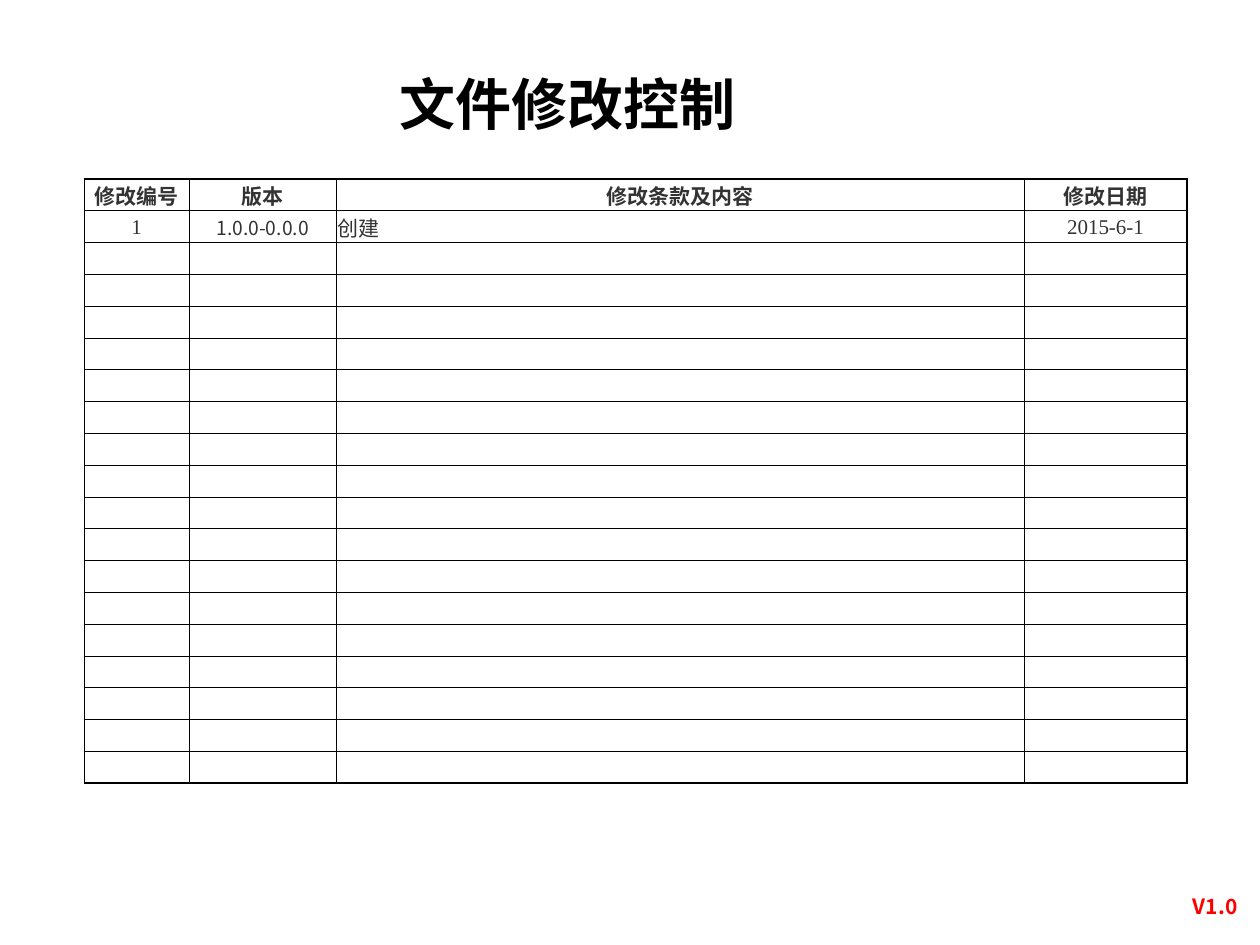
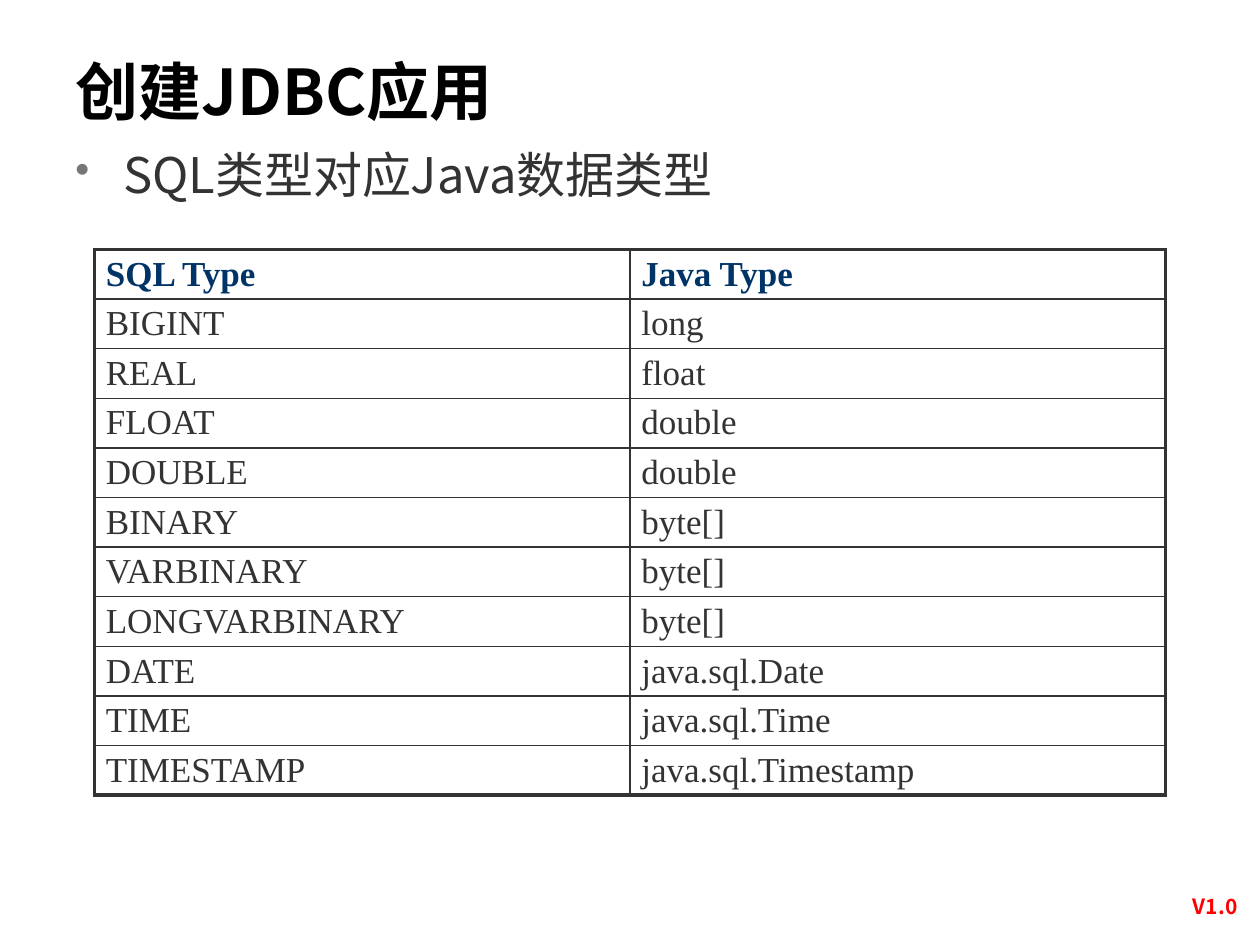
"""Build the document change log and JDBC type mapping slides."""
import pptx
import pptx.dml.color
import pptx.enum.text
import pptx.oxml.ns
import pptx.util
from lxml import etree

Inches = pptx.util.Inches
Pt = pptx.util.Pt
RGBColor = pptx.dml.color.RGBColor
ALIGN = pptx.enum.text.PP_ALIGN
ANCHOR = pptx.enum.text.MSO_ANCHOR
qn = pptx.oxml.ns.qn

SANS = "Noto Sans CJK SC"
SERIF = "Times New Roman"
BLACK = RGBColor(0x00, 0x00, 0x00)
DARK = RGBColor(0x33, 0x33, 0x33)
GREY = RGBColor(0x77, 0x77, 0x77)
NAVY = RGBColor(0x00, 0x33, 0x66)
RED = RGBColor(0xFF, 0x00, 0x00)

LOG_HEADERS = ["修改编号", "版本", "修改条款及内容", "修改日期"]
LOG_ENTRY = ["1", "1.0.0-0.0.0", "创建", "2015-6-1"]
LOG_BLANK_ROWS = 17
TYPE_ROWS = [
    ("SQL Type", "Java Type"),
    ("BIGINT", "long"),
    ("REAL", "float"),
    ("FLOAT", "double"),
    ("DOUBLE", "double"),
    ("BINARY", "byte[]"),
    ("VARBINARY", "byte[]"),
    ("LONGVARBINARY", "byte[]"),
    ("DATE", "java.sql.Date"),
    ("TIME", "java.sql.Time"),
    ("TIMESTAMP", "java.sql.Timestamp"),
]


def write(tf, text, font=SANS, size=12, color=DARK, bold=False, align=ALIGN.LEFT):
    p = tf.paragraphs[0]
    p.alignment = align
    if not text:
        p._p.get_or_add_endParaRPr().set("sz", str(size * 100))
        return p
    r = p.add_run()
    r.text = text
    r.font.name = font
    r.font.size = Pt(size)
    r.font.bold = bold
    r.font.color.rgb = color
    etree.SubElement(r._r.get_or_add_rPr(), qn("a:ea"), typeface=font)
    return p


def set_insets(target, left, top, right, bottom):
    target.margin_left, target.margin_top = Inches(left), Inches(top)
    target.margin_right, target.margin_bottom = Inches(right), Inches(bottom)


def add_border(cell, side, color, width):
    ln = etree.SubElement(cell._tc.get_or_add_tcPr(), qn(f"a:ln{side}"), w=str(Pt(width)))
    fill = etree.SubElement(ln, qn("a:solidFill"))
    etree.SubElement(fill, qn("a:srgbClr"), val=str(color))


class Deck:
    def __init__(self):
        self.prs = pptx.Presentation()
        self.prs.slide_width = Inches(10)
        self.prs.slide_height = Inches(7.5)
        self.s = None

    def slide(self, title, box, size, align, anchor):
        self.s = self.prs.slides.add_slide(self.prs.slide_layouts[5])
        self.text("V1.0", (9.25, 7.07, 0.79, 0.3), top=0.02,
                  color=RED, bold=True, align=ALIGN.CENTER)
        sp = self.s.shapes.title
        sp.left, sp.top, sp.width, sp.height = map(Inches, box)
        tf = sp.text_frame
        tf.auto_size = pptx.enum.text.MSO_AUTO_SIZE.NONE
        tf.vertical_anchor = anchor
        set_insets(tf, 0.1, 0.05, 0.1, 0.05)
        write(tf, title, size=size, color=BLACK, bold=True, align=align)

    def text(self, text, box, top=0.05, **style):
        tf = self.s.shapes.add_textbox(*map(Inches, box)).text_frame
        tf.word_wrap = True
        set_insets(tf, 0.1, top, 0.1, 0.05)
        return write(tf, text, **style)

    def bullet(self, text, box, **style):
        pPr = self.text(text, box, top=0, **style)._p.get_or_add_pPr()
        pPr.set("marL", str(Inches(0.38)))
        pPr.set("indent", str(Inches(-0.38)))
        color = etree.SubElement(pPr, qn("a:buClr"))
        etree.SubElement(color, qn("a:srgbClr"), val=str(GREY))
        etree.SubElement(pPr, qn("a:buSzPct"), val="85000")
        etree.SubElement(pPr, qn("a:buChar"), char="•")

    def table(self, rows, box, widths, insets, color, inner, outer, style_of):
        n_rows, n_cols = len(rows), len(widths)
        table = self.s.shapes.add_table(n_rows, n_cols, *map(Inches, box)).table
        table.first_row = table.horz_banding = False
        for column, width in zip(table.columns, widths):
            column.width = Inches(width)
        for i, values in enumerate(rows):
            table.rows[i].height = Inches(box[3] / n_rows)
            for j, value in enumerate(values):
                cell = table.cell(i, j)
                set_insets(cell, *insets)
                cell.vertical_anchor = ANCHOR.MIDDLE
                edges = {"L": j == 0, "R": j == n_cols - 1,
                         "T": i == 0, "B": i == n_rows - 1}
                for side, is_outer in edges.items():
                    add_border(cell, side, color, outer if is_outer else inner)
                cell.fill.background()
                write(cell.text_frame, value, **style_of(i, j))


def log_style(i, j):
    if i == 0:
        return dict(bold=True, align=ALIGN.CENTER)
    if i > 1:
        return dict(size=10)
    return dict(font=SERIF if j in (0, 3) else SANS,
                size=11 if j == 1 else 12,
                align=ALIGN.JUSTIFY if j == 2 else ALIGN.CENTER)


def type_style(i, j):
    return dict(font=SERIF, size=20, bold=i == 0, color=DARK if i else NAVY)


def main():
    deck = Deck()

    deck.slide("文件修改控制", (1.42, 0.55, 6.17, 0.53), 32, ALIGN.CENTER, ANCHOR.MIDDLE)
    log_rows = [LOG_HEADERS, LOG_ENTRY] + [[""] * len(LOG_HEADERS)] * LOG_BLANK_ROWS
    deck.table(log_rows, (0.67, 1.42, 8.75, 4.8), (0.83, 1.17, 5.46, 1.29),
               (0.01, 0.01, 0.01, 0), BLACK, 0.5, 1, log_style)

    deck.slide("创建JDBC应用", (0.5, 0.3, 7.97, 0.77), 36, ALIGN.LEFT, ANCHOR.BOTTOM)
    deck.bullet("SQL类型对应Java数据类型", (0.5, 1.15, 8.91, 5.43), size=28)
    deck.table(TYPE_ROWS, (0.75, 1.98, 8.5, 4.33), (4.25, 4.25),
               (0.09, 0.03, 0.09, 0.03), DARK, 1, 2.25, type_style)

    deck.prs.save("out.pptx")


if __name__ == "__main__":
    main()
